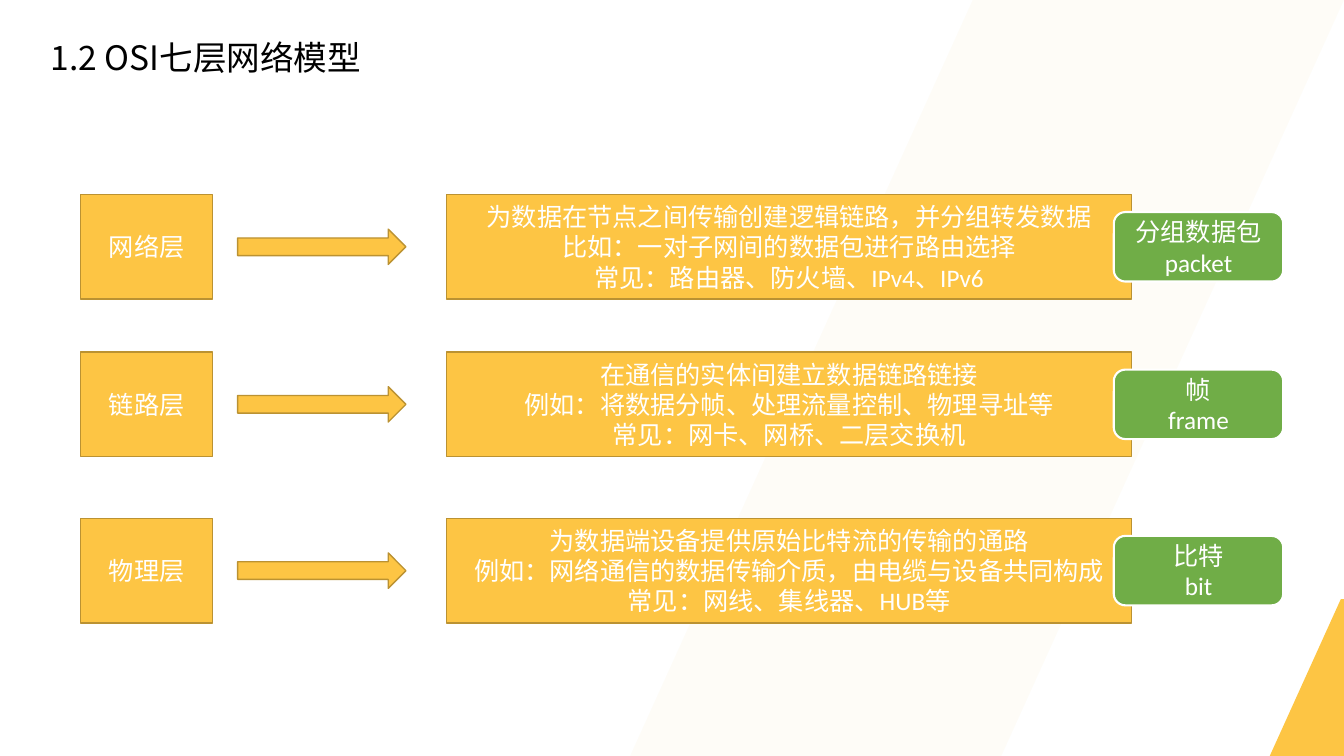
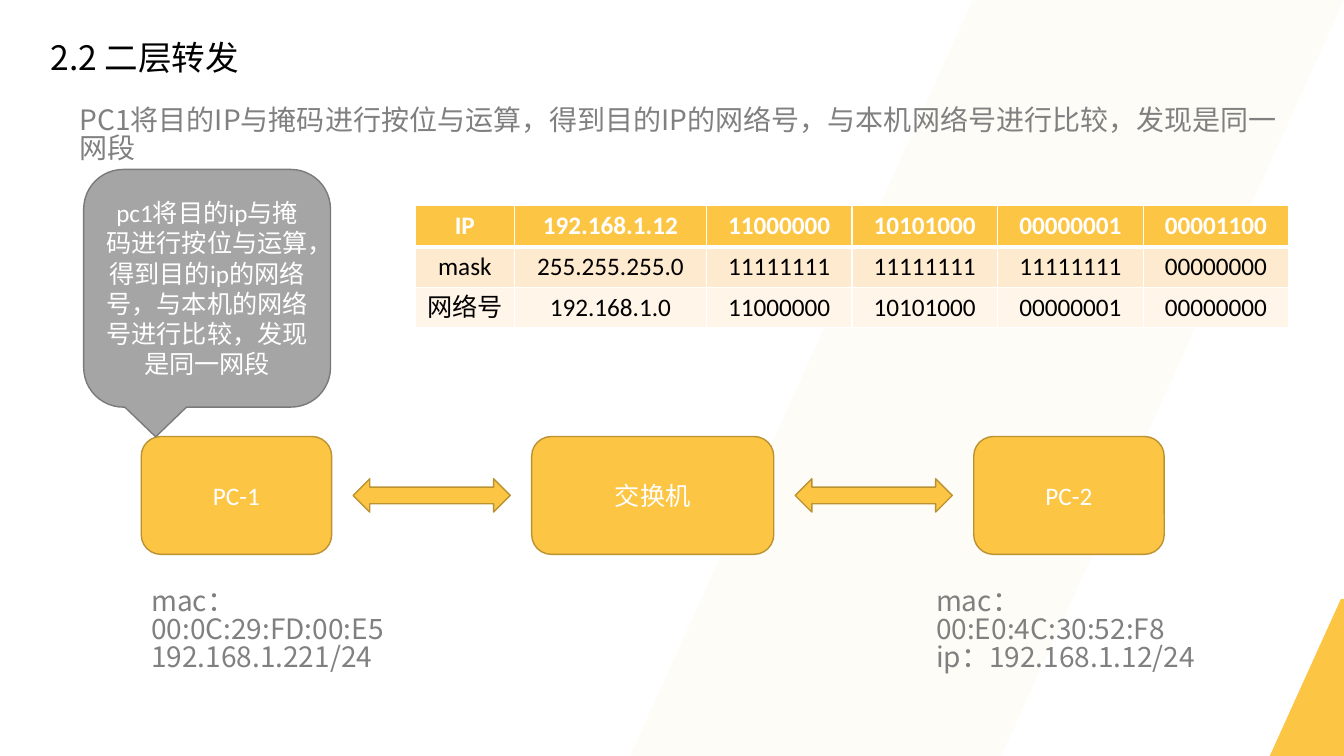
from dataclasses import dataclass

from lxml import etree
from pptx import Presentation
from pptx.dml.color import RGBColor
from pptx.enum import shapes, text
from pptx.oxml.ns import qn
from pptx.util import Cm, Pt

KIND = shapes.MSO_SHAPE
ALIGN = text.PP_ALIGN


@dataclass(frozen=True)
class Theme:
    gold: str = "FDC544"
    gold_edge: str = "BB9232"
    green: str = "70AD47"
    grey: str = "A5A5A5"
    grey_edge: str = "7A7A7A"
    caption: str = "808080"
    black: str = "000000"
    white: str = "FFFFFF"
    row_fills: tuple = ("FDC544", "FEEACF", "FFF5E9")
    heading_font: str = "Noto Sans CJK SC"
    label_font: str = "Calibri"
    title_size: int = 24
    caption_size: int = 20
    label_size: int = 18


THEME = Theme()
TITLE_ONLY, TITLE_AND_BODY = 5, 1


# --- Text ---
def write(frame, lines, font, size, color, align=ALIGN.LEFT, bold=False, pitch=None):
    """Fill a text frame with one paragraph per line."""
    frame.word_wrap = True
    for index, line in enumerate(lines):
        paragraph = frame.paragraphs[0] if index == 0 else frame.add_paragraph()
        paragraph.alignment = align
        paragraph.space_before = Pt(0)
        if pitch:
            paragraph.line_spacing = Pt(pitch)
        run = paragraph.add_run()
        run.text = line
        run.font.name = font
        run.font.size = Pt(size)
        run.font.bold = bold
        run.font.color.rgb = RGBColor.from_string(color)
        east_asian = etree.SubElement(run.font._element, qn("a:ea"))
        east_asian.set("typeface", font)


def write_caption(frame, lines):
    write(frame, lines, THEME.heading_font, THEME.caption_size, THEME.caption,
          pitch=THEME.caption_size)


def place(holder, left, top, width, height):
    holder.left, holder.top = Cm(left), Cm(top)
    holder.width, holder.height = Cm(width), Cm(height)
    holder.text_frame.auto_size = text.MSO_AUTO_SIZE.NONE


def add_caption(slide, left, top, width, height, lines):
    caption = slide.shapes.add_textbox(Cm(left), Cm(top), Cm(width), Cm(height))
    write_caption(caption.text_frame, lines)


def fill_lead(slide, sentence):
    """Use the body placeholder for an unbulleted lead sentence."""
    lead = slide.placeholders[1]
    place(lead, 1.75, 2.59, 30.73, 1.68)
    write_caption(lead.text_frame, [sentence])
    properties = lead.text_frame.paragraphs[0]._p.get_or_add_pPr()
    properties.set("marL", "0")
    properties.set("indent", "0")
    etree.SubElement(properties, qn("a:buNone"))


# --- Shapes ---
def add_block(slide, kind, left, top, width, height, lines=(),
              fill=THEME.gold, edge=THEME.gold_edge, weight=1):
    block = slide.shapes.add_shape(kind, Cm(left), Cm(top), Cm(width), Cm(height))
    block.shadow.inherit = False
    block.fill.solid()
    block.fill.fore_color.rgb = RGBColor.from_string(fill)
    if edge:
        block.line.color.rgb = RGBColor.from_string(edge)
        block.line.width = Pt(weight)
    else:
        block.line.fill.background()
    if lines:
        block.text_frame.vertical_anchor = text.MSO_ANCHOR.MIDDLE
        write(block.text_frame, lines, THEME.label_font, THEME.label_size,
              THEME.white, ALIGN.CENTER)
    return block


def add_slanted_band(slide, left, top, width, height, opacity=None):
    """Put a slanted band behind everything else."""
    band = add_block(slide, KIND.PARALLELOGRAM, left, top, width, height, edge=None)
    band.adjustments[0] = 0.48
    if opacity:
        color = band._element.spPr.find(".//" + qn("a:srgbClr"))
        etree.SubElement(color, qn("a:alpha")).set("val", str(opacity * 1000))
    band._element.getparent().insert(2, band._element)


def start_slide(deck, layout, title):
    slide = deck.slides.add_slide(deck.slide_layouts[layout])
    add_slanted_band(slide, 32, 15.1, 3.73, 3.95)
    add_slanted_band(slide, 15.88, 0, 17.99, 19.05, opacity=4)
    place(slide.shapes.title, 1.02, 0.81, 18.5, 1.27)
    write(slide.shapes.title.text_frame, [title], THEME.heading_font,
          THEME.title_size, THEME.black)
    return slide


# --- Table ---
def set_borders(cell, top, bottom):
    properties = cell._tc.get_or_add_tcPr()
    for side, weight in (("L", 1), ("R", 1), ("T", top), ("B", bottom)):
        border = etree.SubElement(properties, qn("a:ln" + side))
        border.set("w", str(Pt(weight)))
        solid = etree.SubElement(border, qn("a:solidFill"))
        etree.SubElement(solid, qn("a:srgbClr")).set("val", THEME.white)


def add_address_table(slide, left, top, widths, heights, rows):
    table = slide.shapes.add_table(len(rows), len(widths), Cm(left), Cm(top),
                                   Cm(sum(widths)), Cm(sum(heights))).table
    for column, width in zip(table.columns, widths):
        column.width = Cm(width)
    for r, (row, height) in enumerate(zip(rows, heights)):
        table.rows[r].height = Cm(height)
        header = r == 0
        for c, value in enumerate(row):
            cell = table.cell(r, c)
            set_borders(cell, top=3 if r == 1 else 1, bottom=3 if header else 1)
            cell.fill.solid()
            cell.fill.fore_color.rgb = RGBColor.from_string(THEME.row_fills[r])
            write(cell.text_frame, [value], THEME.label_font, THEME.label_size,
                  THEME.white if header else THEME.black, ALIGN.CENTER, bold=header)


# --- Slides ---
def add_layer_row(slide, middle, layer, description, unit):
    """Layer name, arrow, description and data unit around one centre line."""
    box, arrow, badge = 2.64, 0.89, 1.75
    add_block(slide, KIND.RECTANGLE, 2.03, middle - box / 2, 3.33, box, [layer])
    add_block(slide, KIND.RIGHT_ARROW, 5.99, middle - arrow / 2, 4.24, arrow)
    add_block(slide, KIND.RECTANGLE, 11.25, middle - box / 2, 17.27, box, description)
    add_block(slide, KIND.ROUNDED_RECTANGLE, 28.07, middle - badge / 2, 4.27, badge,
              unit, THEME.green, THEME.white, 1.5)


def build_osi_slide(deck):
    slide = start_slide(deck, TITLE_ONLY, "1.2 OSI七层网络模型")
    add_layer_row(slide, 6.22, "网络层",
                  ["为数据在节点之间传输创建逻辑链路，并分组转发数据",
                   "比如：一对子网间的数据包进行路由选择",
                   "常见：路由器、防火墙、IPv4、IPv6"],
                  ["分组数据包", "packet"])
    add_layer_row(slide, 10.19, "链路层",
                  ["在通信的实体间建立数据链路链接",
                   "例如：将数据分帧、处理流量控制、物理寻址等",
                   "常见：网卡、网桥、二层交换机"],
                  ["帧", "frame"])
    add_layer_row(slide, 14.38, "物理层",
                  ["为数据端设备提供原始比特流的传输的通路",
                   "例如：网络通信的数据传输介质，由电缆与设备共同构成",
                   "常见：网线、集线器、HUB等"],
                  ["比特", "bit"])


def add_device_chain(slide, left, top, devices):
    """Devices in a row, with a two-way arrow between neighbours."""
    height, gap, arrow_width, arrow_height = 2.97, 0.54, 3.96, 0.84
    for index, (name, width) in enumerate(devices):
        if index:
            add_block(slide, KIND.LEFT_RIGHT_ARROW, left + gap,
                      top + (height - arrow_height) / 2, arrow_width, arrow_height)
            left += arrow_width + 2 * gap
        add_block(slide, KIND.ROUNDED_RECTANGLE, left, top, width, height, [name])
        left += width


def build_forwarding_slide(deck):
    slide = start_slide(deck, TITLE_AND_BODY, "2.2 二层转发")
    fill_lead(slide, "PC1将目的IP与掩码进行按位与运算，得到目的IP的网络号，"
                     "与本机网络号进行比较，发现是同一网段")
    add_device_chain(slide, 3.56, 11,
                     [("PC-1", 4.8), ("交换机", 6.1), ("PC-2", 4.8)])
    add_block(slide, KIND.ROUNDED_RECTANGULAR_CALLOUT, 2.11, 4.27, 6.22, 5.99,
              ["pc1将目的ip与掩码进行按位与运算，得到目的ip的网络号，"
               "与本机的网络号进行比较，发现是同一网段"],
              THEME.grey, THEME.grey_edge)
    add_caption(slide, 3.56, 14.71, 9.35, 3.1,
                ["mac：", "00:0C:29:FD:00:E5", "192.168.1.221/24"])
    add_caption(slide, 23.34, 14.71, 7.7, 3.1,
                ["mac：", "00:E0:4C:30:52:F8", "ip：192.168.1.12/24"])
    add_address_table(
        slide, 10.46, 5.18, [2.51, 4.83] + [3.67] * 4, [1.04, 1.02, 1.02],
        [["IP", "192.168.1.12", "11000000", "10101000", "00000001", "00001100"],
         ["mask", "255.255.255.0", "11111111", "11111111", "11111111", "00000000"],
         ["网络号", "192.168.1.0", "11000000", "10101000", "00000001", "00000000"]])


def main():
    deck = Presentation()
    deck.slide_width, deck.slide_height = Cm(33.87), Cm(19.05)
    build_osi_slide(deck)
    build_forwarding_slide(deck)
    deck.save("out.pptx")


if __name__ == "__main__":
    main()
